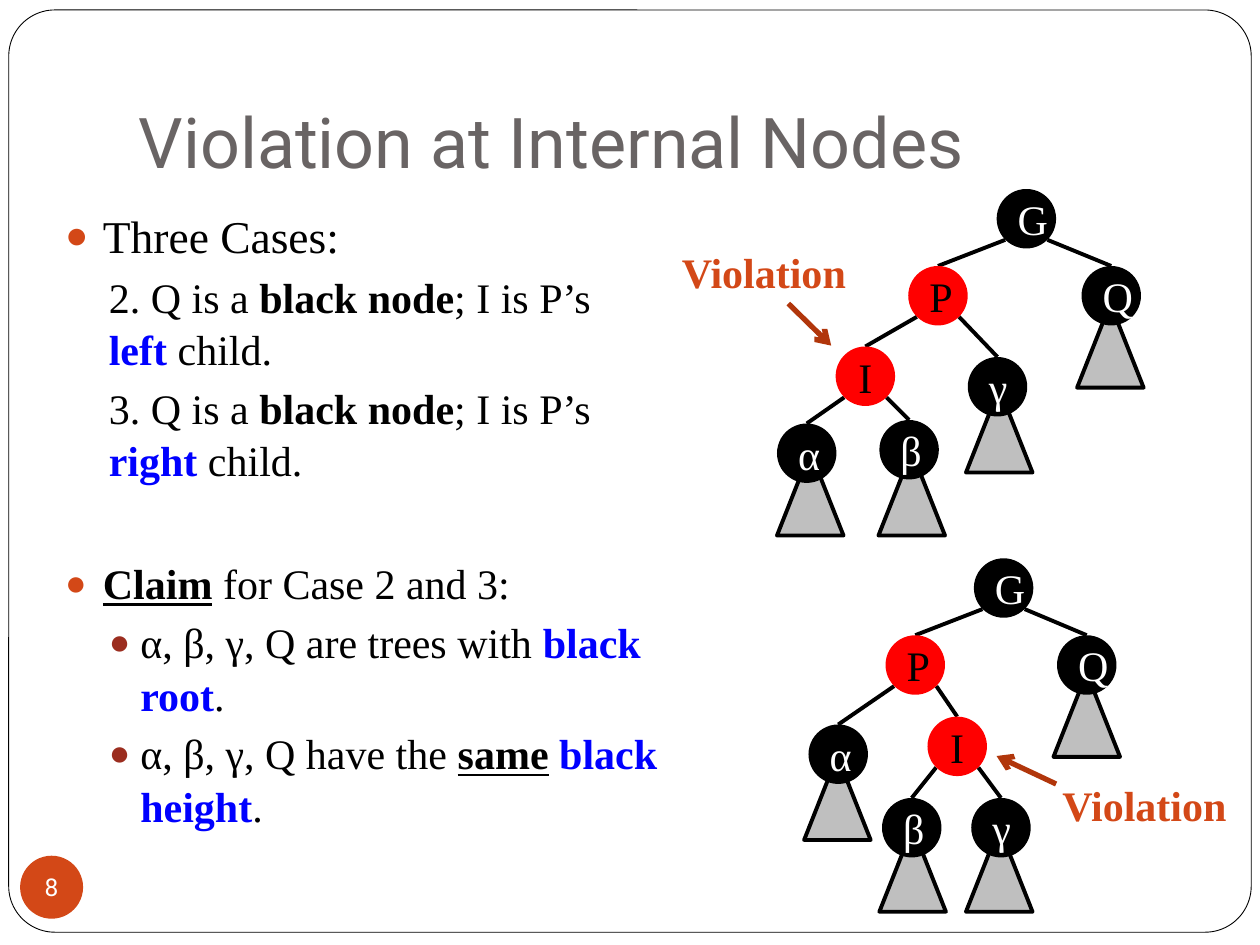
from dataclasses import dataclass
from lxml import etree
from pptx import Presentation
from pptx.dml.color import RGBColor
from pptx.enum.shapes import MSO_CONNECTOR, MSO_SHAPE
from pptx.enum.text import MSO_ANCHOR, MSO_AUTO_SIZE, PP_ALIGN
from pptx.oxml.ns import qn
from pptx.util import Pt

OVAL, CONE, ROUND = MSO_SHAPE.OVAL, MSO_SHAPE.ISOSCELES_TRIANGLE, MSO_SHAPE.ROUNDED_RECTANGLE
LINE = MSO_CONNECTOR.STRAIGHT
MID, BASE, TOP = MSO_ANCHOR.MIDDLE, MSO_ANCHOR.BOTTOM, MSO_ANCHOR.TOP
LEFT, CENTER = PP_ALIGN.LEFT, PP_ALIGN.CENTER
FIXED = MSO_AUTO_SIZE.NONE


@dataclass(frozen=True)
class Theme:
    white: str = "FFFFFF"
    black: str = "000000"
    gray: str = "696464"
    cone: str = "BFBFBF"
    red: str = "FF0000"
    blue: str = "0000FF"
    rust: str = "D34817"
    brick: str = "9B2D1F"
    arrow: str = "B1360B"
    sans: str = "Roboto"
    serif: str = "Times New Roman"
    title: int = 40
    lead: int = 26
    text: int = 24
    page: int = 14


def apply(item, values):
    for name, value in values.items():
        setattr(item, name, value)


class Deck:
    def __init__(self, theme):
        self.theme = theme
        self.file = Presentation()
        apply(self.file, {"slide_width": Pt(720), "slide_height": Pt(540)})
        self.slide = self.file.slides.add_slide(self.file.slide_layouts[1])
        self.layer = self.slide.shapes

    def group(self):
        self.layer = self.slide.shapes.add_group_shape().shapes

    def run(self, para, text, size, color, face=None, **style):
        run = para.add_run()
        run.text = text
        apply(run.font, {"name": face or self.theme.serif, "size": Pt(size), **style})
        run.font.color.rgb = RGBColor.from_string(color)

    def place(self, item, box):
        apply(item, dict(zip(("left", "top", "width", "height"), map(Pt, box))))

    def shape(self, kind, box, fill, line=None, width=2.25):
        item = self.layer.add_shape(kind, *map(Pt, box))
        item.shadow.inherit = False
        item.fill.solid()
        item.fill.fore_color.rgb = RGBColor.from_string(fill)
        if line:
            item.line.color.rgb = RGBColor.from_string(line)
            item.line.width = Pt(width)
        else:
            item.line.fill.background()
        return item

    def frame(self, box):
        item = self.shape(ROUND, box, self.theme.white, self.theme.black, 0.5)
        item.adjustments[0] = 0.05
        self.slide.shapes._spTree.insert(2, item._element)

    def disc(self, box, fill, text, size, color, face=None, **style):
        item = self.shape(OVAL, box, fill)
        apply(item.text_frame, {"vertical_anchor": MID, **style})
        para = item.text_frame.paragraphs[0]
        para.alignment = CENTER
        self.run(para, text, size, color, face)

    def line(self, start, end, color, width=2.25, head=False):
        item = self.layer.add_connector(LINE, *map(Pt, (*start, *end)))
        item.line.color.rgb = RGBColor.from_string(color)
        item.line.width = Pt(width)
        if head:
            etree.SubElement(item.line._get_or_add_ln(), qn("a:tailEnd"), type="arrow")
        etree.SubElement(item._element.spPr, qn("a:effectLst"))

    def label(self, box, text):
        item = self.layer.add_textbox(*map(Pt, box))
        item.text_frame.word_wrap = False
        self.run(item.text_frame.paragraphs[0], text, self.theme.text, self.theme.rust, bold=True)

    def title(self, box, text):
        item = self.slide.shapes.title
        self.place(item, box)
        apply(item.text_frame, {"vertical_anchor": BASE, "auto_size": FIXED, "margin_bottom": Pt(7.2)})
        para = item.text_frame.paragraphs[0]
        para.alignment = LEFT
        self.run(para, text, self.theme.title, self.theme.gray, self.theme.sans)

    def body(self, box, rows):
        item = self.slide.placeholders[1]
        self.place(item, box)
        frame = item.text_frame
        apply(frame, {"auto_size": FIXED, "vertical_anchor": TOP})
        for i, (level, indent, hang, gap, dot, size, parts) in enumerate(rows):
            para = frame.add_paragraph() if i else frame.paragraphs[0]
            apply(para, {"level": level, "alignment": LEFT, "space_before": Pt(gap), "line_spacing": 1.04})
            self.bullet(para, indent, hang, dot)
            for text, style in parts:
                self.run(para, text, size, **{"color": self.theme.black, **style})

    def bullet(self, para, indent, hang, color):
        prop = para._p.get_or_add_pPr()
        prop.set("marL", str(Pt(indent)))
        prop.set("indent", str(Pt(-hang)))
        if not color:
            etree.SubElement(prop, qn("a:buNone"))
            return
        tint = etree.SubElement(prop, qn("a:buClr"))
        etree.SubElement(tint, qn("a:srgbClr"), val=color)
        etree.SubElement(prop, qn("a:buSzPct"), val="85000")
        etree.SubElement(prop, qn("a:buChar"), char="●")

    def tree(self, nodes, cones, edges):
        look, size = self.theme, 34
        self.group()
        for x, y in cones:
            self.shape(CONE, (x, y, 38, 48), look.cone, look.black)
        for up, down, side in edges:
            (x, y), (left, top) = nodes[up], nodes[down]
            reach = size / 2 * 0.71
            start = (x + size / 2 + side * reach, y + size / 2 + reach)
            self.line(start, (left + size / 2, top), look.black)
        for name, spot in nodes.items():
            fill, ink = (look.red, look.black) if name in "PI" else (look.black, look.white)
            self.disc((*spot, size, size), fill, name, look.text, ink)

    def alert(self, box, start, end):
        self.line(start, end, self.theme.arrow, 3, True)
        self.label(box, "Violation")


look = Theme()
deck = Deck(look)
deck.frame((5, 5.7, 710, 527))
deck.title((72, 21.6, 612, 90), "Violation at Internal Nodes")
deck.disc((11.5, 489, 36, 36), look.rust, "8", look.page, look.white, look.sans, word_wrap=False,
          margin_left=0, margin_right=0, margin_top=0, margin_bottom=0)

plain, bold = {}, {"bold": True}
blue = {"bold": True, "color": look.blue}
under = {"bold": True, "underline": True}
cases = [
    (1, 25, 0, 3.7, None, look.text,
     [(f"{num}. Q is a ", plain), ("black node", bold), ("; I is P’s ", plain),
      (f"{side} ", blue), ("child.", plain)])
    for num, side in ((2, "left"), (3, "right"))
]
claims = [
    (1, 43, 18, 3.7, look.brick, look.text, [("α, β, γ, Q " + verb, plain), *parts, (".", plain)])
    for verb, parts in (
        ("are trees with ", [("black root", blue)]),
        ("have the ", [("same", under), (" ", plain), ("black height", blue)]),
    )
]
deck.body((30, 114, 354, 360), [
    (0, 21.6, 21.6, 5.8, look.rust, look.lead, [("Three Cases:", plain)]),
    *cases,
    (1, 21.6, 21.6, 40.4, look.rust, look.text, [("Claim", under), (" for Case 2 and 3:", plain)]),
    *claims,
])

deck.tree(
    {"G": (569.5, 108), "P": (519, 152), "Q": (618, 152), "I": (477.5, 198),
     "α": (444, 242), "β": (502.5, 240), "γ": (553, 204)},
    [(615.5, 173.5), (444, 258), (502, 258), (552, 222)],
    [("G", "P", -1), ("G", "Q", 1), ("P", "I", -1), ("P", "γ", 1), ("I", "α", -1), ("I", "β", 1)],
)
deck.alert((382.5, 137.5, 109.5, 36), (450.5, 173.5), (475, 197.5))

deck.tree(
    {"G": (556.5, 319), "P": (506, 363), "Q": (604, 363), "I": (530, 409.5),
     "α": (462, 414), "β": (504, 456), "γ": (555, 456)},
    [(602, 384.5), (459.5, 432), (502.5, 473), (552, 473)],
    [("G", "P", -1), ("G", "Q", 1), ("P", "α", -1), ("P", "I", 1), ("I", "β", -1), ("I", "γ", 1)],
)
deck.alert((600, 442, 109.5, 36), (603.5, 448), (569.5, 432))

deck.file.save("out.pptx")
